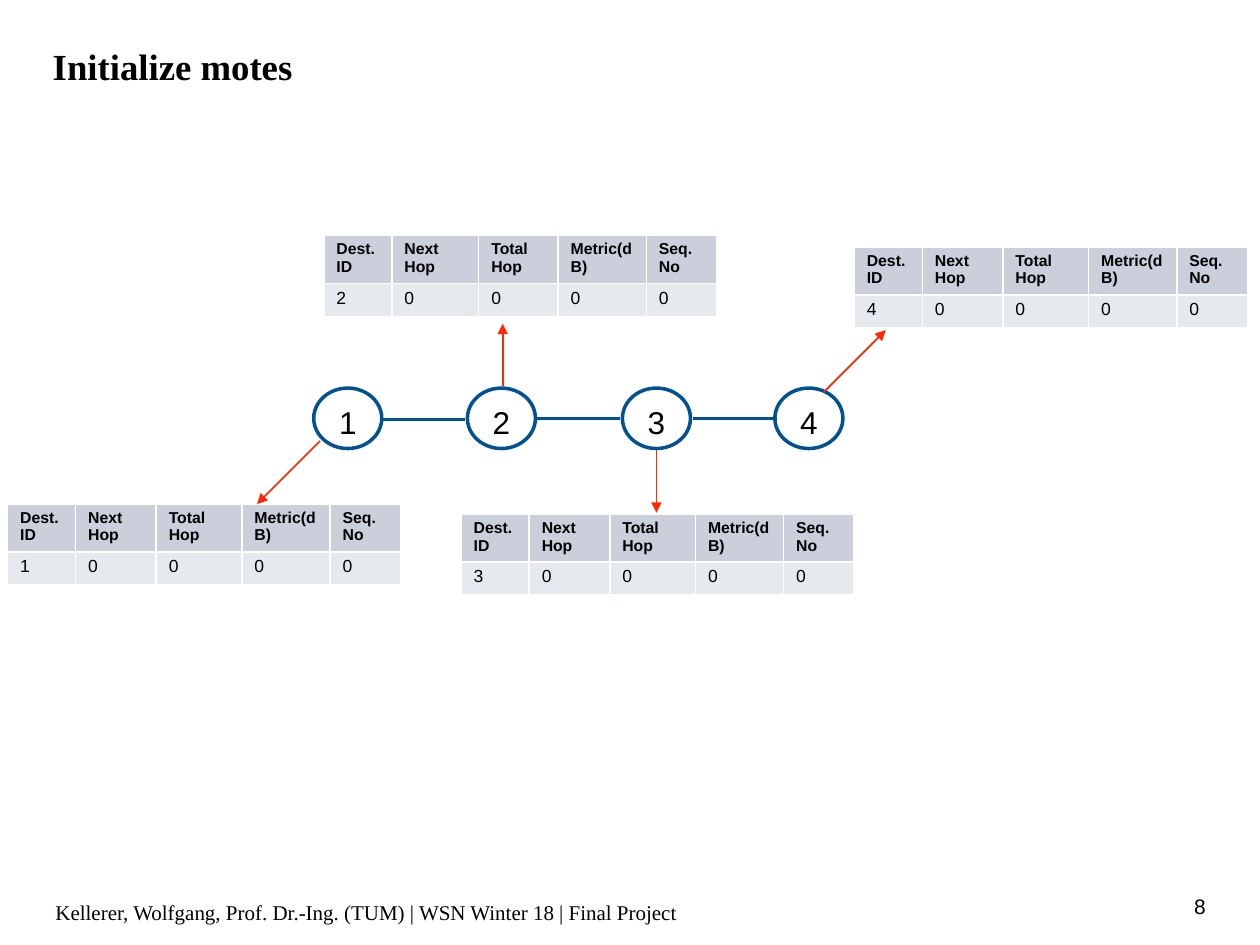
from lxml.etree import SubElement
from pptx import Presentation
from pptx.dml.color import RGBColor
from pptx.enum.shapes import MSO_CONNECTOR as Connector, MSO_SHAPE as Shape
from pptx.enum.text import MSO_ANCHOR as Anchor, PP_ALIGN as Align
from pptx.oxml.ns import qn
from pptx.util import Inches, Pt

COLORS = {
    "text": "000000",
    "white": "FFFFFF",
    "link": "005293",
    "arrow": "FF2600",
    "header": "CACFDB",
    "entry": "E6E9EE",
}
HEADINGS = ["Dest. ID", "Next Hop", "Total Hop", "Metric(dB)", "Seq. No"]
COLUMNS = [0.54, 0.64, 0.68, 0.7, 0.56]
COLUMNS_MOTE_2 = [0.54, 0.69, 0.63, 0.7, 0.56]
ROWS = [0.38, 0.26]
MOTE_TOP, MOTE_WIDTH, MOTE_HEIGHT = 3.08, 0.54, 0.48

# mote number: (mote left, table left, table top, columns, arrow start, arrow end)
MOTES = {
    1: (2.49, 0.06, 4.0, COLUMNS, (2.54, 3.5), (2.04, 4.0)),
    2: (3.71, 2.57, 1.87, COLUMNS_MOTE_2, (3.99, 3.06), (3.99, 2.57)),
    3: (4.94, 3.66, 4.08, COLUMNS, (5.21, 3.57), (5.21, 4.07)),
    4: (6.15, 6.78, 1.96, COLUMNS, (6.54, 3.11), (7.03, 2.62)),
}
LINKS = [(3.02, 3.69, 3.33), (4.26, 4.92, 3.32), (5.5, 6.17, 3.32)]


def color(name):
    return RGBColor.from_string(COLORS[name])


def write(frame, text, size, font="Arial", bold=False, align=Align.LEFT):
    paragraph = frame.paragraphs[0]
    paragraph.alignment = align
    run = paragraph.add_run()
    run.text = text
    run.font.size = Pt(size)
    run.font.name = font
    run.font.bold = bold
    run.font.color.rgb = color("text")


def add_text(slide, text, left, top, width, height, inset=0.05,
             anchor=Anchor.TOP, **style):
    frame = slide.shapes.add_textbox(
        Inches(left), Inches(top), Inches(width), Inches(height)).text_frame
    frame.word_wrap = True
    frame.vertical_anchor = anchor
    frame.margin_left = frame.margin_right = Inches(inset)
    frame.margin_top = frame.margin_bottom = Inches(0.05)
    write(frame, text, **style)


def add_mote(slide, number, left):
    circle = slide.shapes.add_shape(
        Shape.OVAL, Inches(left), Inches(MOTE_TOP),
        Inches(MOTE_WIDTH), Inches(MOTE_HEIGHT))
    circle.shadow.inherit = False
    circle.fill.solid()
    circle.fill.fore_color.rgb = color("white")
    circle.line.color.rgb = color("link")
    circle.line.width = Pt(2)
    add_text(slide, str(number), left + 0.08, MOTE_TOP + 0.07, 0.38, 0.4,
             size=18, align=Align.CENTER)


def add_line(slide, start, end, color_name, width, arrow=False):
    line = slide.shapes.add_connector(
        Connector.STRAIGHT, *map(Inches, start + end))
    line.line.color.rgb = color(color_name)
    line.line.width = Pt(width)
    if arrow:
        SubElement(line.line._get_or_add_ln(), qn("a:tailEnd"), type="triangle")
    SubElement(line._element.spPr, qn("a:effectLst"))


def add_borders(cell):
    properties = cell._tc.get_or_add_tcPr()
    for side in ("lnL", "lnR", "lnT", "lnB"):
        border = SubElement(properties, qn(f"a:{side}"), w=str(Pt(0.96)))
        fill = SubElement(border, qn("a:solidFill"))
        SubElement(fill, qn("a:srgbClr"), val=COLORS["white"])


def add_routing_table(slide, number, left, top, columns):
    table = slide.shapes.add_table(
        len(ROWS), len(columns), Inches(left), Inches(top),
        Inches(sum(columns)), Inches(sum(ROWS))).table
    for column, width in zip(table.columns, columns):
        column.width = Inches(width)
    entry = [str(number)] + ["0"] * (len(columns) - 1)
    rows = [(HEADINGS, "header", 9, True), (entry, "entry", 10, False)]
    for r, (values, fill, size, bold) in enumerate(rows):
        table.rows[r].height = Inches(ROWS[r])
        for c, value in enumerate(values):
            cell = table.cell(r, c)
            cell.margin_top = cell.margin_bottom = Inches(0.04)
            add_borders(cell)
            cell.fill.solid()
            cell.fill.fore_color.rgb = color(fill)
            write(cell.text_frame, value, size, bold=bold)


def main():
    deck = Presentation()
    deck.slide_width, deck.slide_height = Inches(10), Inches(7.5)
    slide = deck.slides.add_slide(deck.slide_layouts[6])

    add_text(slide, "Initialize motes", 0.32, 0.3, 8.18, 0.42, inset=0.1,
             size=21, font="Times New Roman", bold=True)
    for number, (left, *_) in MOTES.items():
        add_mote(slide, number, left)
    for start, end, height in LINKS:
        add_line(slide, (start, height), (end, height), "link", 2)
    for number, (_, left, top, columns, start, end) in MOTES.items():
        add_routing_table(slide, number, left, top, columns)
        add_line(slide, start, end, "arrow", 1, arrow=True)

    add_text(slide,
             "Kellerer, Wolfgang, Prof. Dr.-Ing. (TUM) | WSN Winter 18 | Final Project",
             0.39, 7.09, 8.62, 0.3, anchor=Anchor.MIDDLE,
             size=12, font="Times New Roman")
    add_text(slide, "8", 9.42, 7.04, 0.2, 0.29, size=12, align=Align.RIGHT)
    deck.save("out.pptx")


if __name__ == "__main__":
    main()
